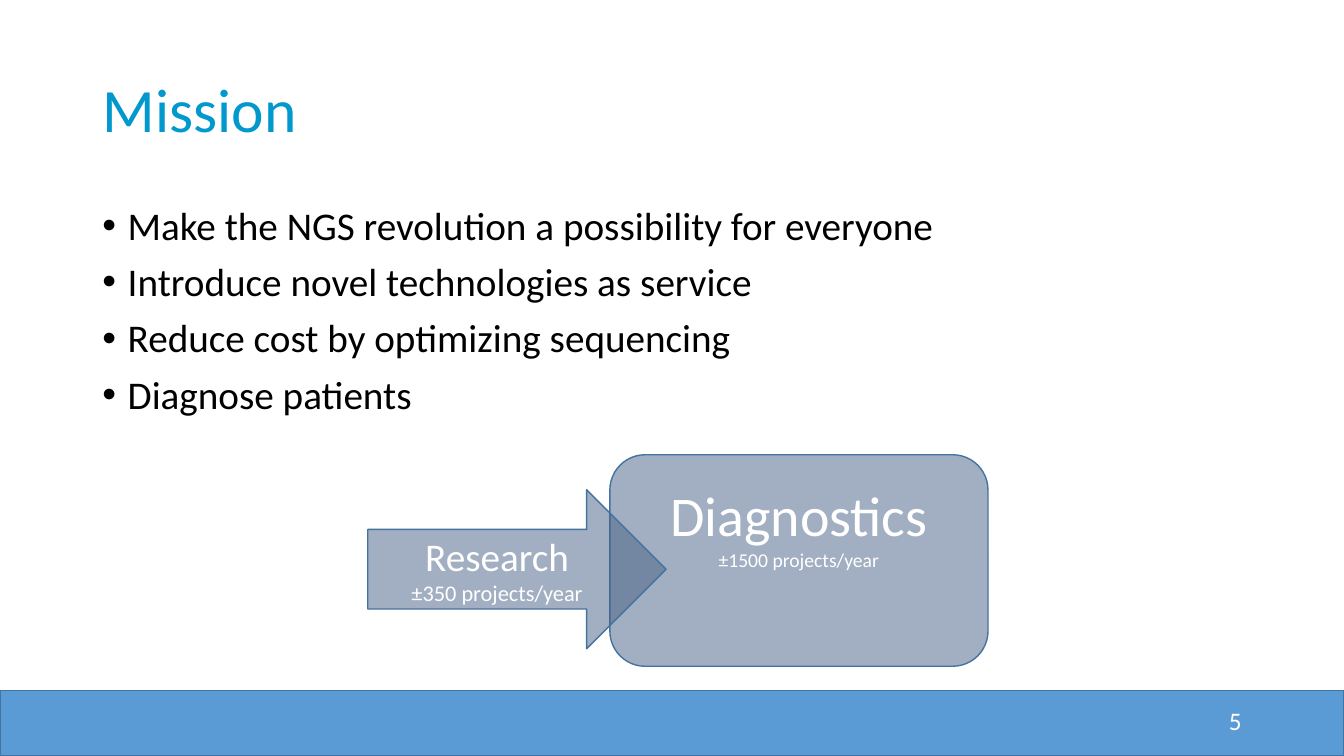
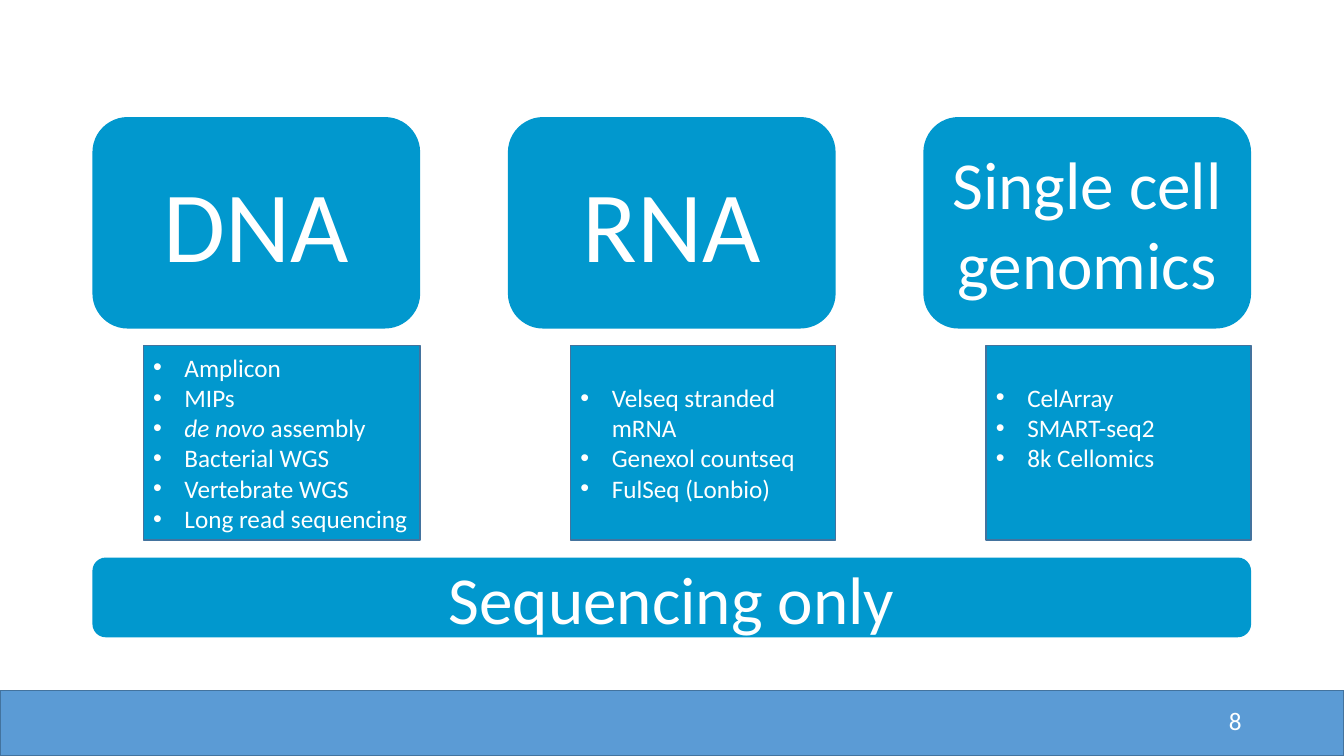
from lxml import etree
from pptx import Presentation
from pptx import util as u
from pptx.dml.color import RGBColor
from pptx.enum import shapes, text
from pptx.oxml import ns

WHITE = RGBColor(0xFF, 0xFF, 0xFF)
BLACK = RGBColor(0x00, 0x00, 0x00)
CYAN = RGBColor(0x01, 0x98, 0xCE)
BAND_BLUE = RGBColor(0x5B, 0x9B, 0xD5)
OUTLINE = RGBColor(0x43, 0x73, 0x9E)
SLATE = RGBColor(0x46, 0x5F, 0x85)

PRESET = shapes.MSO_SHAPE
LEFT, CENTER, RIGHT = text.PP_ALIGN.LEFT, text.PP_ALIGN.CENTER, text.PP_ALIGN.RIGHT
TOP, MIDDLE = text.MSO_ANCHOR.TOP, text.MSO_ANCHOR.MIDDLE
TITLE_ONLY, BLANK = 5, 6

SLIDE_WIDTH, SLIDE_HEIGHT = 33.87, 19.05
MARGIN, CONTENT_WIDTH = 2.33, 29.2


def set_attributes(target, values):
    for name, value in values.items():
        setattr(target, name, value)


class Deck:
    font = "Calibri"

    def __init__(self):
        self.presentation = Presentation()
        self.presentation.slide_width = u.Cm(SLIDE_WIDTH)
        self.presentation.slide_height = u.Cm(SLIDE_HEIGHT)
        self.slide = None

    def add_slide(self, number, title=None):
        layout = self.presentation.slide_layouts[TITLE_ONLY if title else BLANK]
        self.slide = self.presentation.slides.add_slide(layout)
        band_height = 1.65
        self.shape(PRESET.RECTANGLE, (0, SLIDE_HEIGHT - band_height, SLIDE_WIDTH, band_height),
                   BAND_BLUE, line=OUTLINE)
        if title:
            self.title(title)
        self.text_box((23.92, 17.66, 7.62, 1.01), [(number, 18)],
                      align=RIGHT, anchor=MIDDLE)

    def title(self, words):
        placeholder = self.slide.shapes.title
        box = dict(zip(("left", "top", "width", "height"),
                       map(u.Cm, (MARGIN, 1.01, CONTENT_WIDTH, 3.68))))
        set_attributes(placeholder, box)
        self.fill_text(placeholder, [(words, 44)], color=CYAN, align=LEFT,
                       paragraph_format={"line_spacing": 0.9})

    def shape(self, preset, box, fill, line=None, opacity=None):
        shape = self.slide.shapes.add_shape(preset, *map(u.Cm, box))
        shape.shadow.inherit = False
        shape.fill.solid()
        shape.fill.fore_color.rgb = fill
        if opacity:
            color = shape.element.spPr.find(".//" + ns.qn("a:srgbClr"))
            etree.SubElement(color, ns.qn("a:alpha"), val=str(opacity * 1000))
        if line:
            shape.line.color.rgb = line
            shape.line.width = u.Pt(1)
        else:
            shape.line.fill.background()
        return shape

    def text_box(self, box, paragraphs, **style):
        shape = self.slide.shapes.add_textbox(*map(u.Cm, box))
        self.fill_text(shape, paragraphs, **style)

    def fill_text(self, shape, paragraphs, color=WHITE, align=CENTER, anchor=MIDDLE,
                  bullet_indent=None, bottom_inset=0.13, paragraph_format=None):
        frame = shape.text_frame
        set_attributes(frame, {"word_wrap": True, "vertical_anchor": anchor,
                               "auto_size": text.MSO_AUTO_SIZE.NONE,
                               "margin_bottom": u.Cm(bottom_inset)})
        for index, (content, size) in enumerate(paragraphs):
            paragraph = frame.add_paragraph() if index else frame.paragraphs[0]
            set_attributes(paragraph, {"alignment": align, **(paragraph_format or {})})
            if bullet_indent:
                self.bullet(paragraph, u.Cm(bullet_indent))
            runs = [(content, False)] if isinstance(content, str) else content
            for words, italic in runs:
                run = paragraph.add_run()
                run.text = words
                set_attributes(run.font, {"name": self.font, "size": u.Pt(size),
                                          "italic": italic})
                run.font.color.rgb = color

    def bullet(self, paragraph, indent):
        properties = paragraph._p.get_or_add_pPr()
        properties.set("marL", str(indent))
        properties.set("indent", str(-indent))
        etree.SubElement(properties, ns.qn("a:buFont"), typeface="Arial")
        etree.SubElement(properties, ns.qn("a:buChar"), char="•")


def mission_slide(deck):
    deck.add_slide("5", "Mission")
    goals = ["Make the NGS revolution a possibility for everyone",
             "Introduce novel technologies as service",
             "Reduce cost by optimizing sequencing",
             "Diagnose patients"]
    deck.text_box((MARGIN, 5.07, CONTENT_WIDTH, 12.09), [(goal, 28) for goal in goals],
                  color=BLACK, align=LEFT, anchor=TOP, bullet_indent=0.64,
                  paragraph_format={"line_spacing": 0.9, "space_before": u.Pt(10)})
    diagnostics = deck.shape(PRESET.ROUNDED_RECTANGLE, (15.37, 11.46, 9.53, 5.33),
                             SLATE, line=OUTLINE, opacity=50)
    deck.fill_text(diagnostics, [("Diagnostics", 40), ("±1500 projects/year", 14)],
                   bottom_inset=1.85)
    research = deck.shape(PRESET.RIGHT_ARROW, (9.27, 12.34, 7.52, 4.01),
                          SLATE, line=OUTLINE, opacity=50)
    deck.fill_text(research, [("Research", 28), ("±350 projects/year", 16)])


def services_slide(deck):
    deck.add_slide("8")
    card_width, pitch = 8.26, 10.47
    services = [
        ("DNA", 72, 6.98, 0.13,
         ["Amplicon", "MIPs", [("de novo ", True), ("assembly", False)],
          "Bacterial WGS", "Vertebrate WGS", "Long read sequencing"]),
        ("RNA", 72, 6.68, 0.13,
         ["Velseq stranded mRNA", "Genexol countseq", "FulSeq (Lonbio)"]),
        ("Single cell genomics", 48, 6.68, 0.9,
         ["CelArray", "SMART-seq2", "8k Cellomics"]),
    ]
    for column, (name, size, list_width, inset, methods) in enumerate(services):
        left = MARGIN + column * pitch
        card = deck.shape(PRESET.ROUNDED_RECTANGLE, (left, 2.95, card_width, 5.33), CYAN)
        deck.fill_text(card, [(name, size)])
        list_left = left + card_width - list_width
        method_list = deck.shape(PRESET.RECTANGLE, (list_left, 8.71, list_width, 4.9),
                                 CYAN, line=OUTLINE)
        deck.fill_text(method_list, [(method, 18) for method in methods],
                       align=LEFT, bullet_indent=0.79, bottom_inset=inset)
    sequencing = deck.shape(PRESET.ROUNDED_RECTANGLE, (MARGIN, 14.05, CONTENT_WIDTH, 2.01), CYAN)
    deck.fill_text(sequencing, [("Sequencing only", 48)])


def main():
    deck = Deck()
    mission_slide(deck)
    services_slide(deck)
    deck.presentation.save("out.pptx")


if __name__ == "__main__":
    main()
